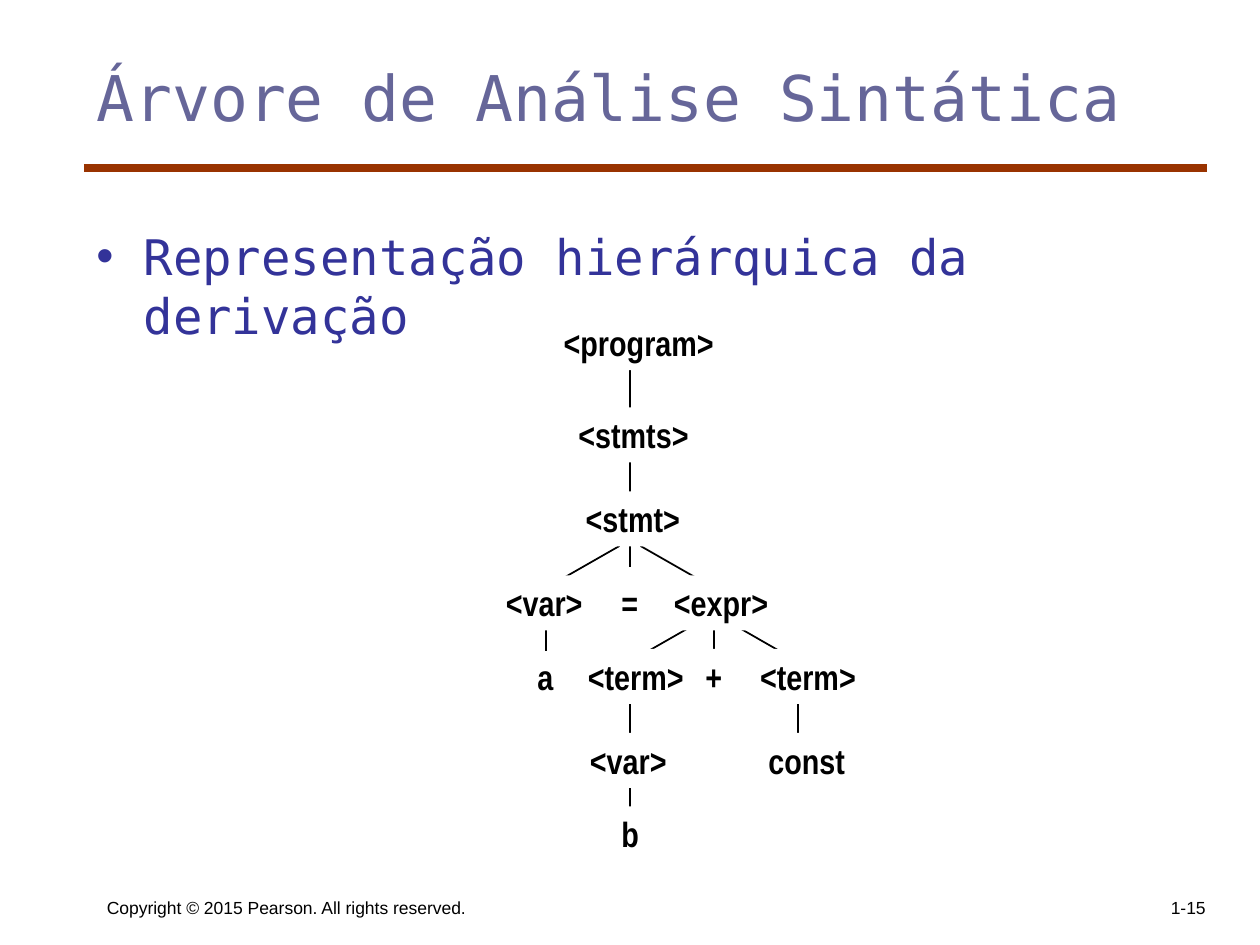
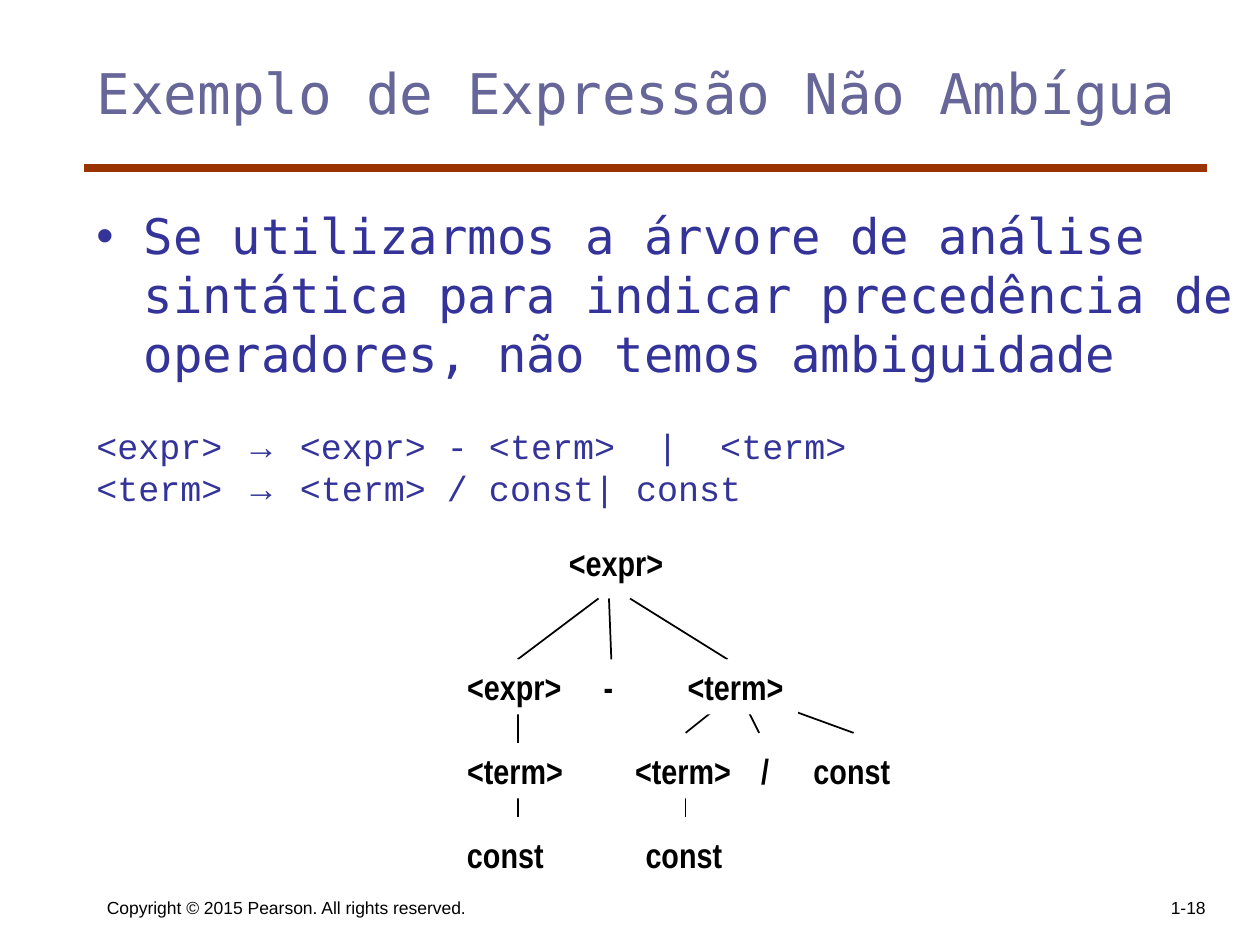
from lxml.etree import SubElement
from pptx import Presentation
from pptx.dml.color import RGBColor
from pptx.enum.shapes import MSO_CONNECTOR as CONN, MSO_SHAPE as SHAPE
from pptx.enum.text import MSO_ANCHOR as ANCHOR, MSO_AUTO_SIZE as FIT, PP_ALIGN as ALIGN
from pptx.oxml.ns import qn
from pptx.util import Inches, Pt

COLORS = {"title": "666699", "body": "333399", "rule": "993300",
          "ink": "000000", "paper": "FFFFFF"}
COLS, ROWS = 120, 90
WIDTH, HEIGHT = Inches(10), Inches(7.5)
MONO, CODE, SANS = "DejaVu Sans Mono", "Courier New", "Arial"
TITLE = {"name": MONO, "size": Pt(36)}
BULLET = {"name": MONO, "size": Pt(28)}
GRAMMAR = {"name": CODE, "size": Pt(20)}
ARROW = GRAMMAR | {"name": SANS}
FOOTER = {"name": SANS, "size": Pt(10)}
NODE = {"name": "Arial Narrow", "size": Pt(20), "bold": True}
NODE_HEIGHT = 5.25
NODE_WIDTHS = {"<program>": 16.9, "<stmts>": 13.1, "<stmt>": 11.6, "<expr>": 11.6,
               "<term>": 11.7, "<var>": 9.9, "const": 9.9, "a": 4, "b": 4.2,
               "=": 4.1, "+": 4.1, "-": 3.4, "/": 3.3}
UNFILLED = {"a", "="}

PARSE_TREE = {
    "edges": [(13, 3, 13, 24), (14, 22, 21, 26), (12, 22, 5, 26), (5, 26, 5, 32),
              (21, 26, 21, 33), (22, 29, 29, 33), (20, 29, 13, 33),
              (29, 34, 29, 43), (13, 34, 13, 50)],
    "levels": {0: [("<program>", 5.5)],
               8.8: [("<stmts>", 6.9)],
               16.8: [("<stmt>", 7.6)],
               24.8: [("<var>", 0), ("=", 11), ("<expr>", 16)],
               31.8: [("a", 3), ("<term>", 7.8), ("+", 19), ("<term>", 24.2)],
               39.8: [("<var>", 8), ("const", 25)],
               46.8: [("b", 11)]},
}
PRECEDENCE_TREE = {
    "edges": [(14, 6, 6.3, 11.8), (15, 6, 15.3, 13.8), (17, 6, 26.3, 11.8),
              (6.3, 15.8, 6.3, 19.8), (6.3, 21.8, 6.3, 26.8),
              (27.3, 14.8, 22.3, 18.8), (27.3, 14.8, 29.3, 18.8),
              (27.3, 14.8, 38.3, 18.8), (22.3, 21.8, 22.3, 26.8)],
    "levels": {0: [("<expr>", 10)],
               11.8: [("<expr>", 0.3), ("-", 13.3), ("<term>", 21.3)],
               19.8: [("<term>", 0.3), ("<term>", 16.3), ("/", 28.3), ("const", 33.3)],
               27.8: [("const", 0.3), ("const", 17.3)]},
}


def col(n):
    """Return the length of n grid columns."""
    return round(WIDTH * n / COLS)


def row(n):
    """Return the length of n grid rows."""
    return round(HEIGHT * n / ROWS)


def place(box):
    """Turn a grid box into lengths."""
    x, y, w, h = box
    return col(x), row(y), col(w), row(h)


def rgb(name):
    """Look up a named colour."""
    return RGBColor.from_string(COLORS[name])


def add_run(p, text, fmt, color="ink"):
    """Add one formatted run to a paragraph."""
    r = p.add_run()
    r.text = text
    for key, value in fmt.items():
        setattr(r.font, key, value)
    r.font.color.rgb = rgb(color)


def add_text(s, box, text, fmt, color="ink", anchor=ANCHOR.TOP, align=ALIGN.LEFT):
    """Add a wrapped text box and return its text frame."""
    tf = s.shapes.add_textbox(*place(box)).text_frame
    tf.word_wrap = True
    tf.vertical_anchor = anchor
    p = tf.paragraphs[0]
    p.alignment = align
    add_run(p, text, fmt, color)
    return tf


def add_line(s, x1, y1, x2, y2, color="ink", width=1):
    """Draw a straight line between two grid points."""
    ln = s.shapes.add_connector(CONN.STRAIGHT, col(x1), row(y1), col(x2), row(y2))
    ln.line.color.rgb = rgb(color)
    ln.line.width = Pt(width)
    SubElement(ln._element.spPr, qn("a:effectLst"))


def add_frame(s, title, size, number):
    """Place the title, its rule and the footer."""
    add_line(s, 8, 16, 115, 16, "rule", 4.5)
    add_text(s, (9, 82, 55, 6), "Copyright © 2015 Pearson. All rights reserved.",
             FOOTER, anchor=ANCHOR.BOTTOM)
    add_text(s, (91, 82, 25, 6), number, FOOTER, anchor=ANCHOR.BOTTOM, align=ALIGN.RIGHT)
    add_text(s, (8, 5, 107, 15), title, TITLE | {"size": Pt(size)}, "title")


def add_body(s, box, text, rules):
    """Place a bulleted statement followed by grammar rules."""
    tf = add_text(s, box, text, BULLET, "body")
    pPr = tf.paragraphs[0]._p.get_or_add_pPr()
    pPr.set("marL", str(col(4.5)))
    pPr.set("indent", str(-col(4.5)))
    SubElement(pPr, qn("a:buFont"), typeface=SANS)
    SubElement(pPr, qn("a:buChar"), char="•")
    for i, (left, right) in enumerate(rules):
        p = tf.add_paragraph()
        p.space_before = Pt(0 if i else 24)
        for part, fmt in ((left, GRAMMAR), ("→", ARROW), (right, GRAMMAR)):
            add_run(p, part, fmt, "body")


def add_node(s, x, y, text):
    """Place one tree node, filled where it masks the edges behind it."""
    sp = s.shapes.add_shape(SHAPE.RECTANGLE, *place((x, y, NODE_WIDTHS[text], NODE_HEIGHT)))
    sp.shadow.inherit = False
    sp.line.fill.background()
    if text in UNFILLED:
        sp.fill.background()
    else:
        sp.fill.solid()
        sp.fill.fore_color.rgb = rgb("paper")
    tf = sp.text_frame
    for key, value in {"word_wrap": False, "auto_size": FIT.SHAPE_TO_FIT_TEXT,
                       "vertical_anchor": ANCHOR.TOP}.items():
        setattr(tf, key, value)
    p = tf.paragraphs[0]
    p.alignment = ALIGN.LEFT
    add_run(p, text, NODE)


def add_tree(s, origin, tree):
    """Draw a syntax tree relative to its top-left grid point."""
    x, y = origin
    for x1, y1, x2, y2 in tree["edges"]:
        add_line(s, x + x1, y + y1, x + x2, y + y2)
    for level, nodes in tree["levels"].items():
        for text, left in nodes:
            add_node(s, x + left, y + level, text)


def add_tree_slide(prs, title, size, number, body_box, text, rules, origin, tree):
    """Build a slide with a statement above a syntax tree."""
    s = prs.slides.add_slide(prs.slide_layouts[6])
    add_frame(s, title, size, number)
    add_body(s, body_box, text, rules)
    add_tree(s, origin, tree)


def main():
    """Build and save the deck."""
    prs = Presentation()
    prs.slide_width, prs.slide_height = WIDTH, HEIGHT
    add_tree_slide(prs, "Árvore de Análise Sintática", 36, "1-15", (8, 21, 107, 60),
                   "Representação hierárquica da derivação", [], (47, 30), PARSE_TREE)
    add_tree_slide(prs, "Exemplo de Expressão Não Ambígua", 32, "1-18", (8, 19, 112, 60),
                   "Se utilizarmos a árvore de análise sintática para indicar "
                   "precedência de operadores, não temos ambiguidade",
                   [("<expr> ", " <expr> - <term>  |  <term>"),
                    ("<term> ", " <term> / const| const")],
                   (43, 51), PRECEDENCE_TREE)
    prs.save("out.pptx")


if __name__ == "__main__":
    main()
